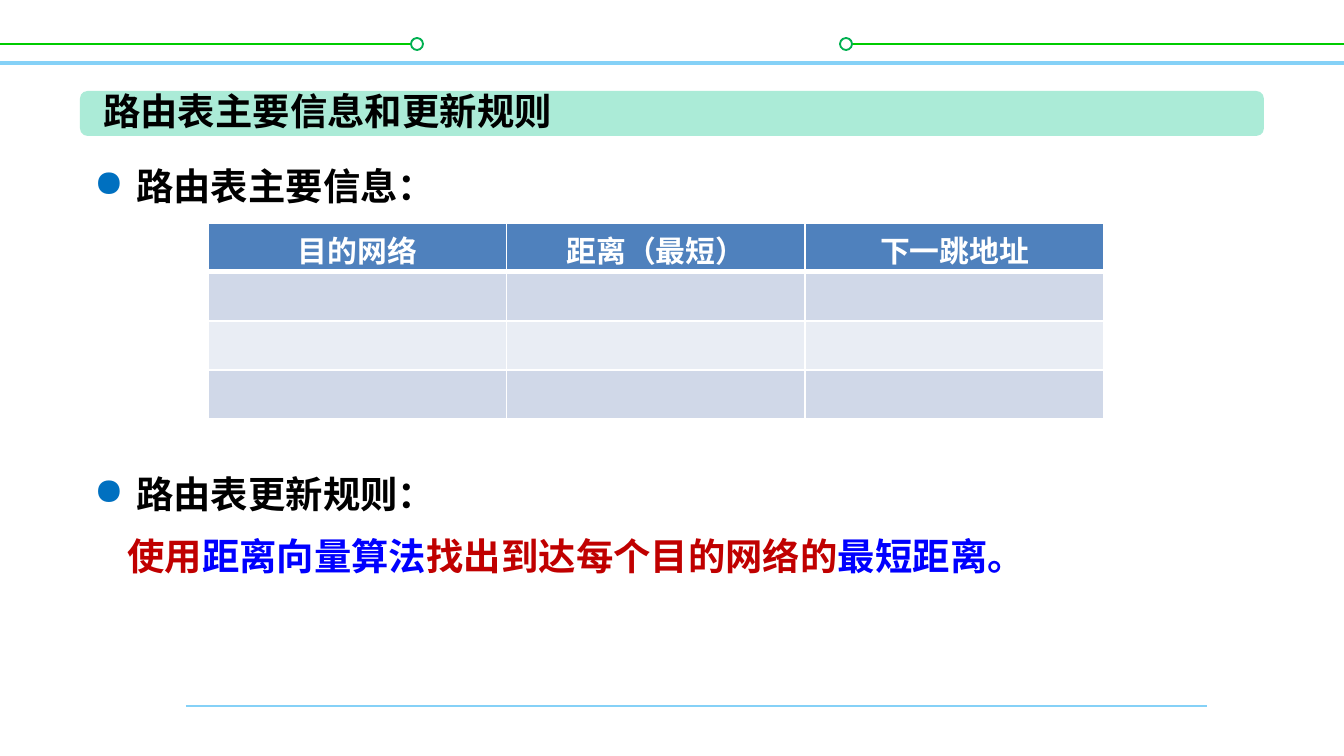
"""Build the slide on routing table contents and update rules."""
from lxml import etree
from pptx import Presentation, util as u
from pptx.dml.color import RGBColor
from pptx.enum import shapes, text
from pptx.oxml.ns import qn

PX = 914400 / 134.4
FONT = "Noto Sans CJK SC"
COLORS = {
    "sky": "85D1F7", "green": "00CC00", "ring": "00B050", "mint": "ABEBD7",
    "black": "000000", "white": "FFFFFF", "red": "C00000", "blue": "0000FF",
    "bullet": "0070C0", "header": "4F81BD", "odd": "D0D8E8", "even": "E9EDF4",
}


def px(*lengths):
    return [u.Emu(round(length * PX)) for length in lengths]


def style(paragraph, size, color):
    font = paragraph.font
    font.size, font.bold, font.name = u.Pt(size), True, FONT
    font.color.rgb = RGBColor.from_string(COLORS[color])
    properties = paragraph._p.get_or_add_pPr().find(qn("a:defRPr"))
    etree.SubElement(properties, qn("a:ea"), typeface=FONT)


prs = Presentation()
prs.slide_width, prs.slide_height = px(1344, 756)
slide = prs.slides.add_slide(prs.slide_layouts[6])

for x1, x2, y, color, width in [
    (186, 1207, 706, "sky", 1.5),
    (0, 1344, 63, "sky", 2),
    (0, 417, 44, "green", 1),
    (840, 1344, 44, "green", 1),
]:
    rule = slide.shapes.add_connector(shapes.MSO_CONNECTOR.STRAIGHT, *px(x1, y, x2, y))
    rule.line.color.rgb = RGBColor.from_string(COLORS[color])
    rule.line.width = u.Pt(width)
    etree.SubElement(rule._element.spPr, qn("a:effectLst"))

for x in (411, 840):
    ring = slide.shapes.add_shape(shapes.MSO_SHAPE.OVAL, *px(x, 38, 12, 12))
    ring.shadow.inherit = False
    ring.fill.solid()
    ring.fill.fore_color.rgb = RGBColor.from_string(COLORS["white"])
    ring.line.color.rgb = RGBColor.from_string(COLORS["ring"])
    ring.line.width = u.Pt(1)

banner = slide.shapes.add_shape(shapes.MSO_SHAPE.ROUNDED_RECTANGLE, *px(80, 91, 1184, 45))
banner.adjustments[0] = 0.17
banner.shadow.inherit = False
banner.fill.solid()
banner.fill.fore_color.rgb = RGBColor.from_string(COLORS["mint"])
banner.line.fill.background()

title = slide.shapes.add_textbox(*px(90, 82, 480, 59)).text_frame
title.word_wrap = False
title.auto_size = text.MSO_AUTO_SIZE.SHAPE_TO_FIT_TEXT
title.text = "路由表主要信息和更新规则"
style(title.paragraphs[0], 20, "black")

body = slide.shapes.add_textbox(*px(81, 140, 1184, 449)).text_frame
body.word_wrap = True
body.auto_size = text.MSO_AUTO_SIZE.SHAPE_TO_FIT_TEXT
for index, (heading, gap) in enumerate([("路由表主要信息：", 0), ("路由表更新规则：", 4 * 33)]):
    topic = body.add_paragraph() if index else body.paragraphs[0]
    topic.text = heading
    topic.line_spacing = u.Pt(33)
    if gap:
        topic.space_before = u.Pt(gap)
    properties = topic._p.get_or_add_pPr()
    indent = px(42)[0]
    properties.set("marL", str(indent))
    properties.set("indent", str(-indent))
    bullet_color = etree.SubElement(properties, qn("a:buClr"))
    etree.SubElement(bullet_color, qn("a:srgbClr"), val=COLORS["bullet"])
    etree.SubElement(properties, qn("a:buChar"), char="●")
    style(topic, 20, "black")

update = body.add_paragraph()
update.line_spacing = u.Pt(33)
update._p.get_or_add_pPr().set("marL", str(px(33)[0]))
style(update, 20, "black")
for words, color in [
    ("使用", "red"), ("距离向量算法", "blue"),
    ("找出到达每个目的网络的", "red"), ("最短距离。", "blue"),
]:
    run = update.add_run()
    run.text = words
    run.font.color.rgb = RGBColor.from_string(COLORS[color])

headers = ["目的网络", "距离（最短）", "下一跳地址"]
routes = slide.shapes.add_table(4, 3, *px(208, 223, 896, 196)).table
for column in routes.columns:
    column.width = px(896 / 3)[0]
for r, row in enumerate(routes.rows):
    row.height = px(49)[0]
    for c, cell in enumerate(row.cells):
        cell.margin_top, cell.margin_bottom = px(0 if r else 5, 0)
        cell.vertical_anchor = text.MSO_ANCHOR.MIDDLE
        properties = cell._tc.get_or_add_tcPr()
        for side in "LRTB":
            thick = (r, side) in [(0, "B"), (1, "T")]
            border = etree.SubElement(properties, qn(f"a:ln{side}"), w=str(u.Pt(3 if thick else 1)))
            paint = etree.SubElement(border, qn("a:solidFill"))
            etree.SubElement(paint, qn("a:srgbClr"), val=COLORS["white"])
        cell.fill.solid()
        band = "header" if r == 0 else "odd" if r % 2 else "even"
        cell.fill.fore_color.rgb = RGBColor.from_string(COLORS[band])
        if r == 0:
            cell.text = headers[c]
            cell.text_frame.paragraphs[0].alignment = text.PP_ALIGN.CENTER
            style(cell.text_frame.paragraphs[0], 16, "white")

prs.save("out.pptx")
